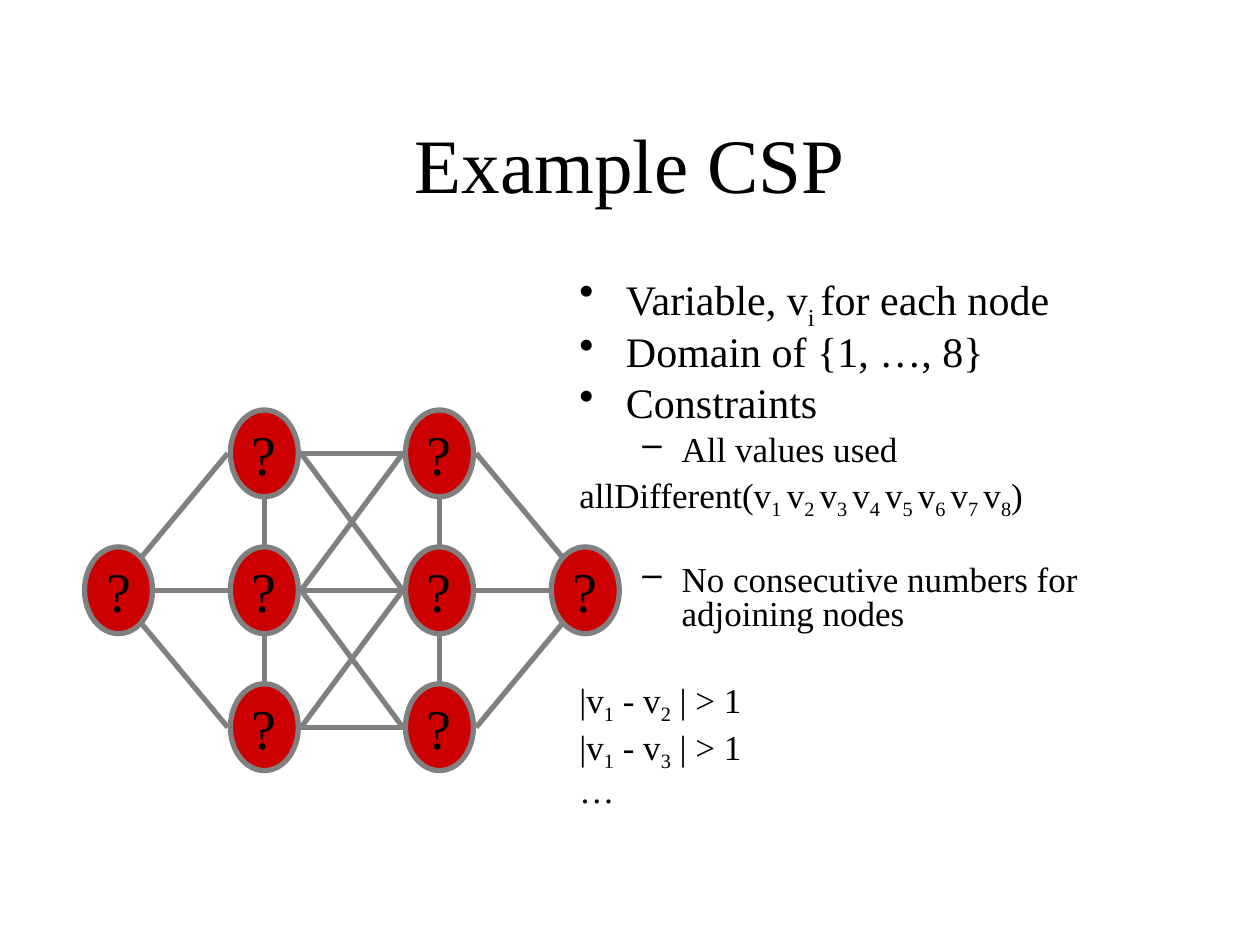
import pptx
import pptx.util
import pptx.dml.color
import pptx.enum.shapes
import pptx.enum.text
import pptx.oxml.ns
import lxml.etree

Cm = pptx.util.Cm
Pt = pptx.util.Pt
BLACK = pptx.dml.color.RGBColor(0x00, 0x00, 0x00)
RED = pptx.dml.color.RGBColor(0xCC, 0x00, 0x00)
GRAY = pptx.dml.color.RGBColor(0x80, 0x80, 0x80)
FONT = "Times New Roman"

NODE_WIDTH, NODE_HEIGHT = 1.37, 1.75
COLUMNS = (0.69, 3.63, 7.16, 10.1)
ROWS = (0.88, 3.64, 6.4)
NODES = ((1, 0), (1, 1), (1, 2), (2, 0), (2, 1), (2, 2), (3, 1), (0, 1))
ANCHORS = {
    "left": (-0.74, 0), "right": (0.74, 0),
    "top": (0, -0.92), "bottom": (0, 0.92),
    "upper left": (-0.48, -0.69), "lower left": (-0.48, 0.69),
    "upper right": (0.48, -0.69), "lower right": (0.48, 0.69),
}
SIDE_EDGES = [
    ((0, 1), "upper right", (1, 0), "left"),
    ((0, 1), "right", (1, 1), "left"),
    ((0, 1), "lower right", (1, 2), "left"),
    ((2, 0), "right", (3, 1), "upper left"),
    ((2, 1), "right", (3, 1), "left"),
    ((2, 2), "right", (3, 1), "lower left"),
]
CROSS_EDGES = [((1, row), "right", (2, other), "left")
               for row in range(3) for other in range(3) if abs(row - other) < 2]
UPRIGHT_EDGES = [((column, row), "bottom", (column, row + 1), "top")
                 for column in (1, 2) for row in (0, 1)]

INDENTS = {"\u2022": (0.94, -0.94), "\u2013": (2.06, -0.79), "": (0.94, -0.94)}
ALL_DIFFERENT = ["allDifferent(v", "1 "]
for number in range(2, 8):
    ALL_DIFFERENT += ["v", f"{number} "]
ALL_DIFFERENT += ["v", "8", ")"]
LINES = [
    ("\u2022", 24, 6, ["Variable, v", "i ", "for each node"]),
    ("\u2022", 24, 6, ["Domain of {1, \u2026, 8}"]),
    ("\u2022", 24, 6, ["Constraints"]),
    ("\u2013", 20, 5, ["All values used"]),
    ("", 20, 5, ALL_DIFFERENT),
    ("\u2013", 20, 28.4, ["No consecutive numbers for adjoining nodes"]),
    ("", 20, 28.4, ["|v", "1", " - v", "2", " | > 1"]),
    ("", 20, 5, ["|v", "1", " - v", "3", " | > 1"]),
    ("", 20, 5, ["\u2026"]),
]


def add_span(para, text, size, lowered=False):
    """Add one run, set as a subscript when lowered."""
    span = para.add_run()
    span.text = text
    span.font.size = Pt(size)
    span.font.name = FONT
    span.font.color.rgb = BLACK
    if lowered:
        span.font._element.set("baseline", "-25000")


def add_title(page, left, top, width, height):
    """Place the centred title."""
    box = page.shapes.add_textbox(Cm(left), Cm(top), Cm(width), Cm(height))
    box.text_frame.word_wrap = True
    box.text_frame.vertical_anchor = pptx.enum.text.MSO_ANCHOR.MIDDLE
    para = box.text_frame.paragraphs[0]
    para.alignment = pptx.enum.text.PP_ALIGN.CENTER
    add_span(para, "Example CSP", 44)


def set_bullet(para, bullet):
    """Give a paragraph its hanging indent and its bullet sign."""
    properties = para._p.get_or_add_pPr()
    margin, indent = INDENTS[bullet]
    properties.set("marL", str(Cm(margin)))
    properties.set("indent", str(Cm(indent)))
    tag = "a:buChar" if bullet else "a:buNone"
    sign = lxml.etree.SubElement(properties, pptx.oxml.ns.qn(tag))
    if bullet:
        sign.set("char", bullet)


def add_statements(page, left, top, width, height):
    """Place the list of variables, domain and constraints."""
    box = page.shapes.add_textbox(Cm(left), Cm(top), Cm(width), Cm(height))
    frame = box.text_frame
    frame.word_wrap = True
    for index, (bullet, size, gap, pieces) in enumerate(LINES):
        para = frame.add_paragraph() if index else frame.paragraphs[0]
        para.line_spacing = 0.8
        para.space_before = Pt(gap)
        set_bullet(para, bullet)
        for position, piece in enumerate(pieces):
            add_span(para, piece, size, position % 2 == 1)


def add_node(page, x, y):
    """Draw one unknown node centred on a point."""
    node = page.shapes.add_shape(
        pptx.enum.shapes.MSO_SHAPE.OVAL, Cm(x - NODE_WIDTH / 2),
        Cm(y - NODE_HEIGHT / 2), Cm(NODE_WIDTH), Cm(NODE_HEIGHT))
    node.shadow.inherit = False
    node.fill.solid()
    node.fill.fore_color.rgb = RED
    node.line.color.rgb = GRAY
    node.line.width = Pt(3)
    node.text_frame.word_wrap = False
    node.text_frame.vertical_anchor = pptx.enum.text.MSO_ANCHOR.MIDDLE
    para = node.text_frame.paragraphs[0]
    para.alignment = pptx.enum.text.PP_ALIGN.CENTER
    add_span(para, "?", 32)


def add_edge(page, start, end):
    """Draw one grey line between two points."""
    edge = page.shapes.add_connector(
        pptx.enum.shapes.MSO_CONNECTOR.STRAIGHT,
        Cm(start[0]), Cm(start[1]), Cm(end[0]), Cm(end[1]))
    edge.line.color.rgb = GRAY
    edge.line.width = Pt(3)
    lxml.etree.SubElement(edge._element.spPr, pptx.oxml.ns.qn("a:effectLst"))


def add_graph(page, left, top):
    """Place the eight nodes and the edges that join them."""
    def locate(node, anchor):
        """Return the point of a node where an edge ends."""
        column, row = node
        across, down = ANCHORS[anchor]
        return left + COLUMNS[column] + across, top + ROWS[row] + down

    for column, row in NODES:
        add_node(page, left + COLUMNS[column], top + ROWS[row])
    for first, leaving, second, arriving in SIDE_EDGES + CROSS_EDGES + UPRIGHT_EDGES:
        add_edge(page, locate(first, leaving), locate(second, arriving))


def build_deck():
    """Build the one-page deck and save it."""
    deck = pptx.Presentation()
    deck.slide_width, deck.slide_height = Cm(25.4), Cm(19.05)
    page = deck.slides.add_slide(deck.slide_layouts[6])
    add_title(page, 1.9, 1.7, 21.6, 3.18)
    add_statements(page, 11.43, 5.5, 13.12, 11.43)
    add_graph(page, 1.7, 8.26)
    deck.save("out.pptx")


build_deck()
